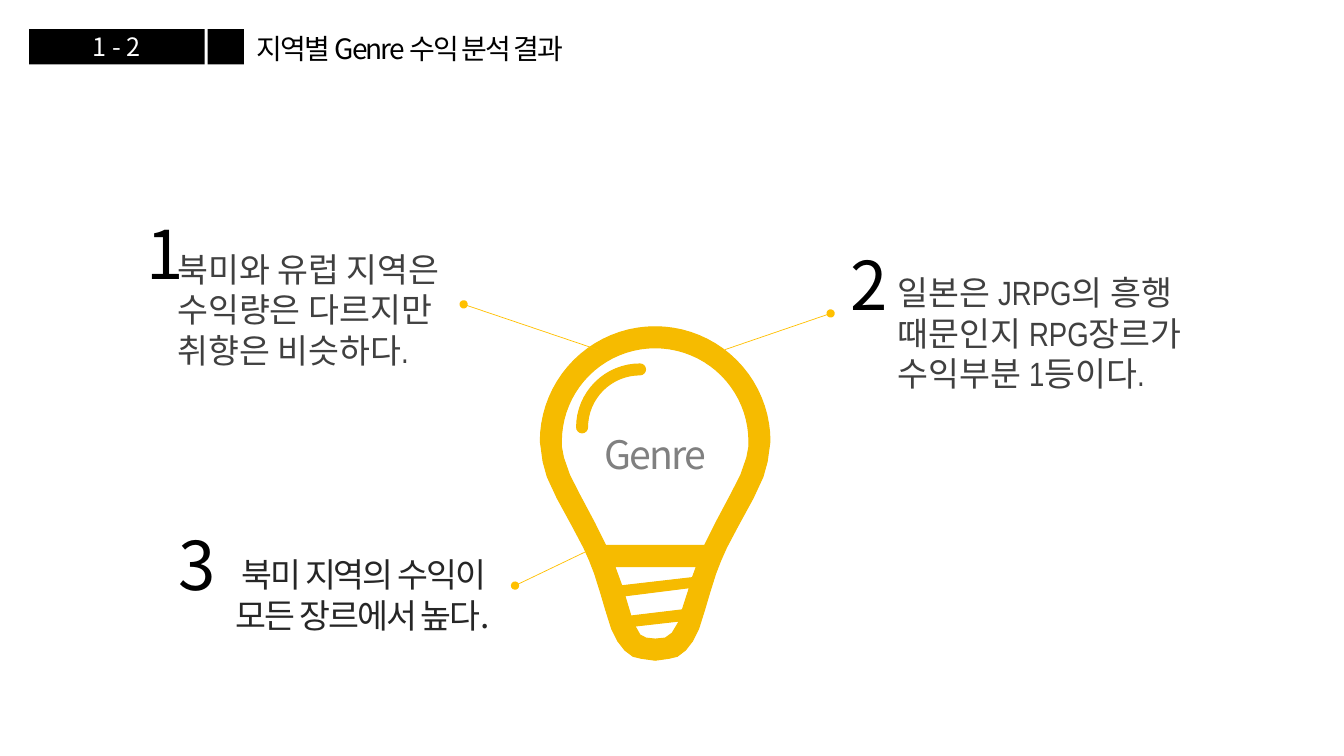
import math
from dataclasses import dataclass

import pptx
import pptx.dml.color
import pptx.enum.shapes
import pptx.enum.text
import pptx.oxml.ns
import pptx.util
from lxml import etree

Pt = pptx.util.Pt
qn = pptx.oxml.ns.qn
ALIGN = pptx.enum.text.PP_ALIGN
AUTO_SIZE = pptx.enum.text.MSO_AUTO_SIZE
RECTANGLE = pptx.enum.shapes.MSO_SHAPE.RECTANGLE
STRAIGHT = pptx.enum.shapes.MSO_CONNECTOR.STRAIGHT

Point = tuple[float, float]
SANS = "Noto Sans CJK KR"
NARROW = "Arial Narrow"
BULB_YELLOW = "F6BB00"
LINE_YELLOW = "FFC000"
BLACK = "000000"

# The bulb is described relative to the centre of its dome
BULB_CENTRE = (468, 315.4)
OUTER_RADIUS, INNER_RADIUS = 82, 67
OUTER_SIDE = [(80, 14.4), (77, 25.2), (70, 40.3), (59, 60.5), (51, 75.6),
              (46.8, 85), (43.2, 94.3), (38.9, 108), (35.3, 120.2), (31, 133.9),
              (26.6, 142.6), (21.6, 149), (15.8, 153.4), (10, 154.8), (0, 156.2)]
INNER_SIDE = [(67, 3.6), (65.5, 11.5), (61.2, 23.8), (54.7, 36.7), (43.2, 58.3),
              (35.3, 74.2)]
SCREW_GAPS = [
    [(-28.8, 89.3), (29.5, 89.3), (26.6, 97.2), (-23.8, 103)],
    [(24.5, 104.4), (-21.6, 110.2), (-17.3, 124.6), (19.4, 120.2)],
    [(17.3, 128.2), (-14.4, 131.8), (-10.8, 138.2), (-6.5, 140.4), (0, 141.1),
     (7.2, 140.4), (12.2, 136.8)],
]
GLARE_CENTRE = (-10.8, -10.1)
GLARE_RADIUS, GLARE_HALF_WIDTH = 41.4, 3.9


@dataclass
class Label:
    text: str
    left: float
    top: float
    width: float
    height: float
    size: float
    color: str = BLACK
    font: str = SANS
    spacing: float = 0
    align: ALIGN = ALIGN.LEFT
    wrap: bool = True


@dataclass
class Pointer:
    start: Point
    end: Point


LABELS = [
    Label("Genre", 404.6, 303.8, 127.4, 41, 28, "808080",
          spacing=-1.4, align=ALIGN.CENTER),
    Label("북미와 유럽 지역은 수익량은 다르지만 취향은 비슷하다.",
          119.5, 174.2, 226.8, 94.3, 24, "404040", NARROW),
    Label("일본은 JRPG의 흥행 때문인지 RPG장르가 수익부분 1등이다.",
          634.3, 190.8, 239, 94.3, 24, "404040", NARROW),
    Label("북미 지역의 수익이 모든 장르에서 높다.",
          149.8, 392.4, 218.9, 65.5, 24, "262626",
          spacing=-1.4, align=ALIGN.CENTER),
    Label("지역별 Genre 수익 분석 결과", 176.4, 18.7, 403.2, 31.7, 20, spacing=-1.4),
]
LABELS += [
    Label(number, left, top, 38.9, 65.5, 48, spacing=-2.9, wrap=False)
    for number, left, top in [("1", 97.9, 148.3), ("2", 600.5, 170.6),
                              ("3", 120.2, 370.1)]
]
POINTERS = [
    Pointer((517.7, 249.8), (593.3, 223.9)),
    Pointer((427, 249.8), (331.2, 217.4)),
    Pointer((419, 393.8), (367.9, 418.3)),
]


def rgb(color: str) -> pptx.dml.color.RGBColor:
    return pptx.dml.color.RGBColor.from_string(color)


def arc(centre: Point, radius: float, start: int, end: int, steps: int) -> list[Point]:
    angles = [math.radians(start + (end - start) * i / steps) for i in range(steps + 1)]
    return [(centre[0] + radius * math.cos(a), centre[1] + radius * math.sin(a))
            for a in angles]


def dome_outline(radius: float, side: list[Point]) -> list[Point]:
    """Dome from left to right, down the right side and back up the left."""
    mirrored = [(-x, y) for x, y in reversed(side)]
    return arc((0, 0), radius, 180, 360, 40) + side + mirrored


def glare_outline() -> list[Point]:
    x, y = GLARE_CENTRE
    half = GLARE_HALF_WIDTH
    return (arc(GLARE_CENTRE, GLARE_RADIUS + half, 180, 270, 16)
            + arc((x, y - GLARE_RADIUS), half, -90, 90, 8)
            + arc(GLARE_CENTRE, GLARE_RADIUS - half, 270, 180, 16)
            + arc((x - GLARE_RADIUS, y), half, 0, 180, 8))


def add_outline(slide, contours: list[list[Point]]) -> None:
    placed = [[(Pt(BULB_CENTRE[0] + x), Pt(BULB_CENTRE[1] + y)) for x, y in contour]
              for contour in contours]
    builder = slide.shapes.build_freeform(*placed[0][0])
    builder.add_line_segments(placed[0][1:], close=True)
    for contour in placed[1:]:
        builder.move_to(*contour[0])
        builder.add_line_segments(contour[1:], close=True)
    shape = builder.convert_to_shape()
    shape.shadow.inherit = False
    shape.fill.solid()
    shape.fill.fore_color.rgb = rgb(BULB_YELLOW)
    shape.line.color.rgb = rgb(BULB_YELLOW)
    shape.line.width = Pt(0)


def add_pointer(slide, pointer: Pointer) -> None:
    connector = slide.shapes.add_connector(
        STRAIGHT, *map(Pt, pointer.start), *map(Pt, pointer.end))
    connector.line.color.rgb = rgb(LINE_YELLOW)
    connector.line.width = Pt(0.5)
    etree.SubElement(connector.line._get_or_add_ln(), qn("a:tailEnd"), type="oval")
    etree.SubElement(connector._element.spPr, qn("a:effectLst"))


def format_paragraph(paragraph, size: float, color: str, font: str = SANS,
                     spacing: float = 0, align: ALIGN = ALIGN.CENTER) -> None:
    paragraph.alignment = align
    paragraph.font.size = Pt(size)
    paragraph.font.color.rgb = rgb(color)
    paragraph.font.name = font
    properties = paragraph._p.pPr.find(qn("a:defRPr"))
    if font == SANS:
        etree.SubElement(properties, qn("a:ea"), typeface=font)
    if spacing:
        properties.set("spc", str(round(spacing * 100)))


def add_label(slide, label: Label) -> None:
    shape = slide.shapes.add_textbox(
        Pt(label.left), Pt(label.top), Pt(label.width), Pt(label.height))
    frame = shape.text_frame
    frame.word_wrap = label.wrap
    frame.auto_size = AUTO_SIZE.SHAPE_TO_FIT_TEXT
    frame.text = label.text
    format_paragraph(frame.paragraphs[0], label.size, label.color, label.font,
                     label.spacing, label.align)


def add_header_block(slide, left: float, width: float, text: str = "") -> None:
    shape = slide.shapes.add_shape(RECTANGLE, Pt(left), Pt(20.9), Pt(width), Pt(25.2))
    shape.shadow.inherit = False
    shape.fill.solid()
    shape.fill.fore_color.rgb = rgb(BLACK)
    shape.line.fill.background()
    if text:
        shape.text_frame.text = text
        format_paragraph(shape.text_frame.paragraphs[0], 18, "FFFFFF")


def main() -> None:
    presentation = pptx.Presentation()
    presentation.slide_width, presentation.slide_height = Pt(960), Pt(540)
    slide = presentation.slides.add_slide(presentation.slide_layouts[6])

    # Light bulb
    add_outline(slide, [dome_outline(OUTER_RADIUS, OUTER_SIDE),
                        dome_outline(INNER_RADIUS, INNER_SIDE), *SCREW_GAPS])
    add_outline(slide, [glare_outline()])

    # Pointers and texts
    for pointer in POINTERS:
        add_pointer(slide, pointer)
    for label in LABELS:
        add_label(slide, label)

    # Header blocks
    add_header_block(slide, 20.9, 125.3, "1 - 2")
    add_header_block(slide, 148.3, 25.9)

    presentation.save("out.pptx")


if __name__ == "__main__":
    main()
